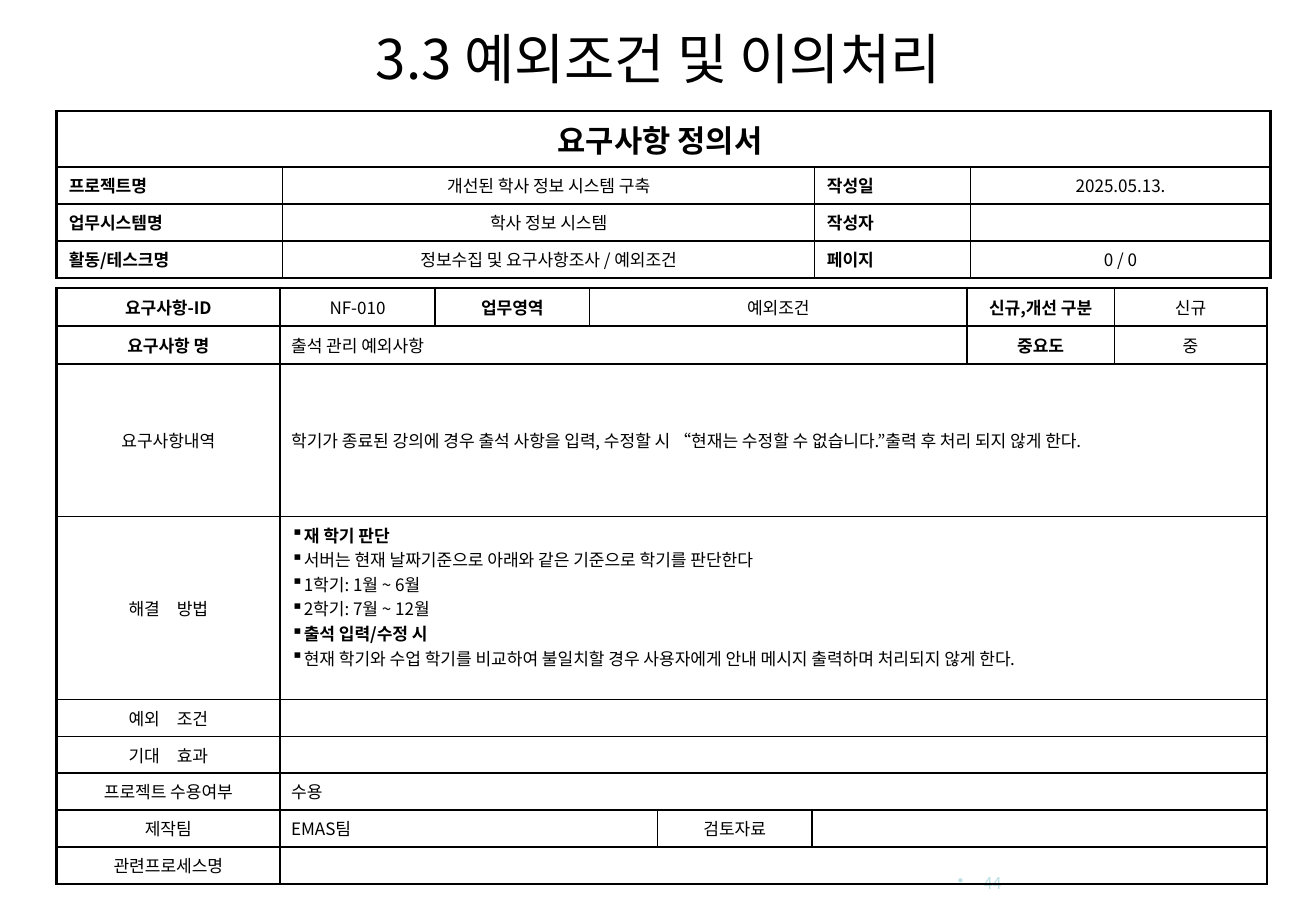
from dataclasses import dataclass

from lxml.etree import SubElement
from pptx import Presentation
from pptx.dml.color import RGBColor
from pptx.enum.text import MSO_ANCHOR, PP_ALIGN
from pptx.oxml.ns import qn
from pptx.util import Inches, Pt


@dataclass(frozen=True)
class Theme:
    font: str = "Noto Sans CJK KR"
    ink: str = "000000"
    faint: str = "BBE0E3"
    title: float = 32
    heading: float = 18
    body: float = 10
    number: float = 9.5
    thin: float = 1
    thick: float = 1.5


theme = Theme()


def style_paragraph(para, size, align, bold=False, color=theme.ink, bullet=None):
    para.alignment = align
    if bullet:
        SubElement(para._p.get_or_add_pPr(), qn("a:buChar"), char=bullet)
    font = para.font
    font.size, font.bold, font.name = Pt(size), bold, theme.font
    font.color.rgb = RGBColor.from_string(color)
    SubElement(font._element, qn("a:ea"), typeface=theme.font)
    if not para.runs:
        SubElement(para._p, qn("a:endParaRPr"), sz=str(int(size * 100)))


def set_borders(cell, widths):
    properties = cell._tc.get_or_add_tcPr()
    for side, width in zip("LRTB", widths):
        line = SubElement(properties, qn(f"a:ln{side}"), w=str(Pt(width)))
        fill = SubElement(line, qn("a:solidFill"))
        SubElement(fill, qn("a:srgbClr"), val=theme.ink)


deck = Presentation()
deck.slide_width, deck.slide_height = Inches(10.71), Inches(7.5)
page = deck.slides.add_slide(deck.slide_layouts[5])

# Title
title = page.shapes.title
title.left, title.top = Inches(2.28), Inches(0.19)
title.width, title.height = Inches(6.16), Inches(0.55)
title.text_frame.text = "3.3 예외조건 및 이의처리"
title.text_frame.vertical_anchor = MSO_ANCHOR.MIDDLE
style_paragraph(title.text_frame.paragraphs[0], theme.title, PP_ALIGN.CENTER)

# Page number
number_box = page.shapes.add_textbox(Inches(7.64), Inches(6.97), Inches(0.61), Inches(0.42))
number_frame = number_box.text_frame
number_frame.word_wrap = True
number_frame.vertical_anchor = MSO_ANCHOR.MIDDLE
number_frame.text = "44"
number_para = number_frame.paragraphs[0]
number_properties = number_para._p.get_or_add_pPr()
number_properties.set("marL", str(Inches(0.21)))
number_properties.set("indent", str(-Inches(0.21)))
style_paragraph(number_para, theme.number, PP_ALIGN.RIGHT, color=theme.faint, bullet="•")

# Cell kinds: size, alignment, bold, bullet
HEADING = (theme.heading, PP_ALIGN.CENTER, True, None)
FIELD = (theme.body, PP_ALIGN.JUSTIFY, True, None)
LABEL = (theme.body, PP_ALIGN.CENTER, True, None)
CENTER = (theme.body, PP_ALIGN.CENTER, False, None)
LEFT = (theme.body, PP_ALIGN.LEFT, False, None)
BULLETS = (theme.body, PP_ALIGN.LEFT, False, "▪")

# Table contents: each cell is span, kind, text
document_rows = [
    [(4, HEADING, "요구사항 정의서 ")],
    [(1, FIELD, "프로젝트명"), (1, CENTER, "개선된 학사 정보 시스템 구축"),
     (1, FIELD, "작성일"), (1, CENTER, "2025.05.13.")],
    [(1, FIELD, "업무시스템명"), (1, CENTER, "학사 정보 시스템"),
     (1, FIELD, "작성자"), (1, CENTER, "")],
    [(1, FIELD, "활동/테스크명"), (1, CENTER, "정보수집 및 요구사항조사 / 예외조건"),
     (1, FIELD, "페이지"), (1, CENTER, "0 / 0")],
]
solution = "\n".join([
    "재 학기 판단",
    "서버는 현재 날짜기준으로 아래와 같은 기준으로 학기를 판단한다",
    "1학기: 1월 ~ 6월",
    "2학기: 7월 ~ 12월",
    "출석 입력/수정 시",
    "현재 학기와 수업 학기를 비교하여 불일치할 경우 사용자에게 안내 메시지 출력하며 처리되지 않게 한다.",
])
solution_headings = {"재 학기 판단", "출석 입력/수정 시"}
requirement_rows = [
    [(1, LABEL, "요구사항-ID"), (1, CENTER, "NF-010"), (1, LABEL, "업무영역"),
     (3, CENTER, "예외조건"), (1, LABEL, "신규,개선 구분"), (1, CENTER, "신규")],
    [(1, LABEL, "요구사항 명"), (5, LEFT, "출석 관리 예외사항"),
     (1, LABEL, "중요도"), (1, CENTER, "중")],
    [(1, CENTER, "요구사항내역"),
     (7, LEFT, "학기가 종료된 강의에 경우 출석 사항을 입력, 수정할 시 "
               "“현재는 수정할 수 없습니다.”출력 후 처리 되지 않게 한다.")],
    [(1, CENTER, "해결　방법"), (7, BULLETS, solution)],
    [(1, CENTER, "예외　조건"), (7, LEFT, "")],
    [(1, CENTER, "기대　효과"), (7, LEFT, "")],
    [(1, CENTER, "프로젝트 수용여부"), (7, LEFT, "수용")],
    [(1, CENTER, "제작팀"), (3, LEFT, "EMAS팀"), (1, CENTER, "검토자료"), (3, LEFT, "")],
    [(1, CENTER, "관련프로세스명"), (7, LEFT, "")],
]

# Table layout: top, column widths, row heights, side inset, thick row lines, rows
tables = [
    (2.34, [1.82, 1.26, 1.26, 0.55, 1.26, 1.26, 1.2, 1.24],
     [0.31, 0.31, 1.24, 1.49] + [0.3] * 5, 0.09, {0, 1, 2, 9}, requirement_rows),
    (0.9, [1.84, 4.33, 1.27, 2.44], [0.46] + [0.3] * 3, 0.1, {0, 4}, document_rows),
]

# Tables
for top, widths, heights, inset, thick_lines, rows in tables:
    table = page.shapes.add_table(
        len(heights), len(widths), Inches(0.46), Inches(top),
        Inches(sum(widths)), Inches(sum(heights))).table
    table.first_row = table.horz_banding = False
    for column, width in zip(table.columns, widths):
        column.width = Inches(width)
    for row_index, (height, cells) in enumerate(zip(heights, rows)):
        table.rows[row_index].height = Inches(height)
        start = 0
        for span, (size, align, bold, bullet), text in cells:
            end = start + span
            edges = [
                theme.thick if start == 0 else theme.thin,
                theme.thick if end == len(widths) else theme.thin,
                theme.thick if row_index in thick_lines else theme.thin,
                theme.thick if row_index + 1 in thick_lines else theme.thin,
            ]
            for column_index in range(start, end):
                part = table.cell(row_index, column_index)
                set_borders(part, edges)
                part.fill.background()
                style_paragraph(part.text_frame.paragraphs[0], size, align) if column_index > start else None
            cell = table.cell(row_index, start)
            if span > 1:
                cell.merge(table.cell(row_index, end - 1))
            cell.vertical_anchor = MSO_ANCHOR.MIDDLE
            cell.margin_left = cell.margin_right = Inches(inset)
            cell.margin_top = Inches(0.05)
            cell.margin_bottom = Inches(0.25 if bullet else 0.05)
            cell.text_frame.text = text
            for para in cell.text_frame.paragraphs:
                style_paragraph(para, size, align, bold or para.text in solution_headings, bullet=bullet)
            start = end

deck.save("out.pptx")
